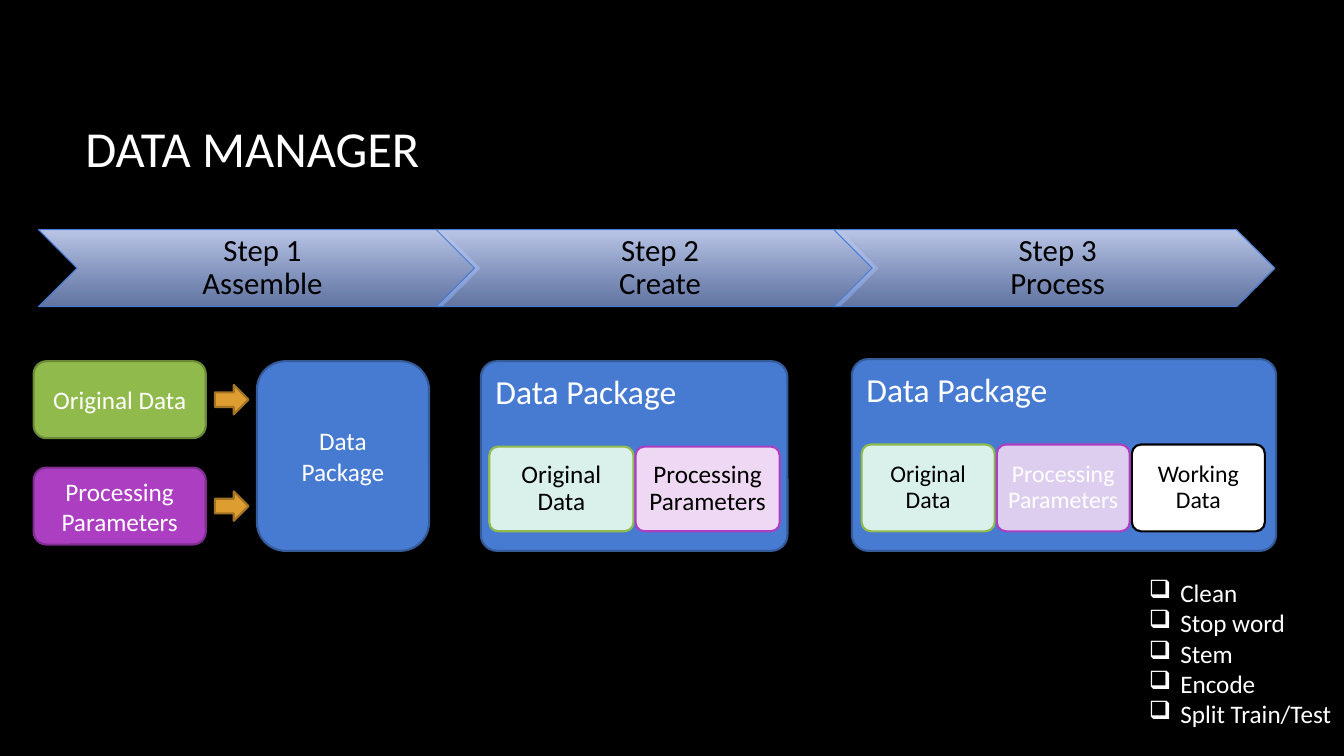
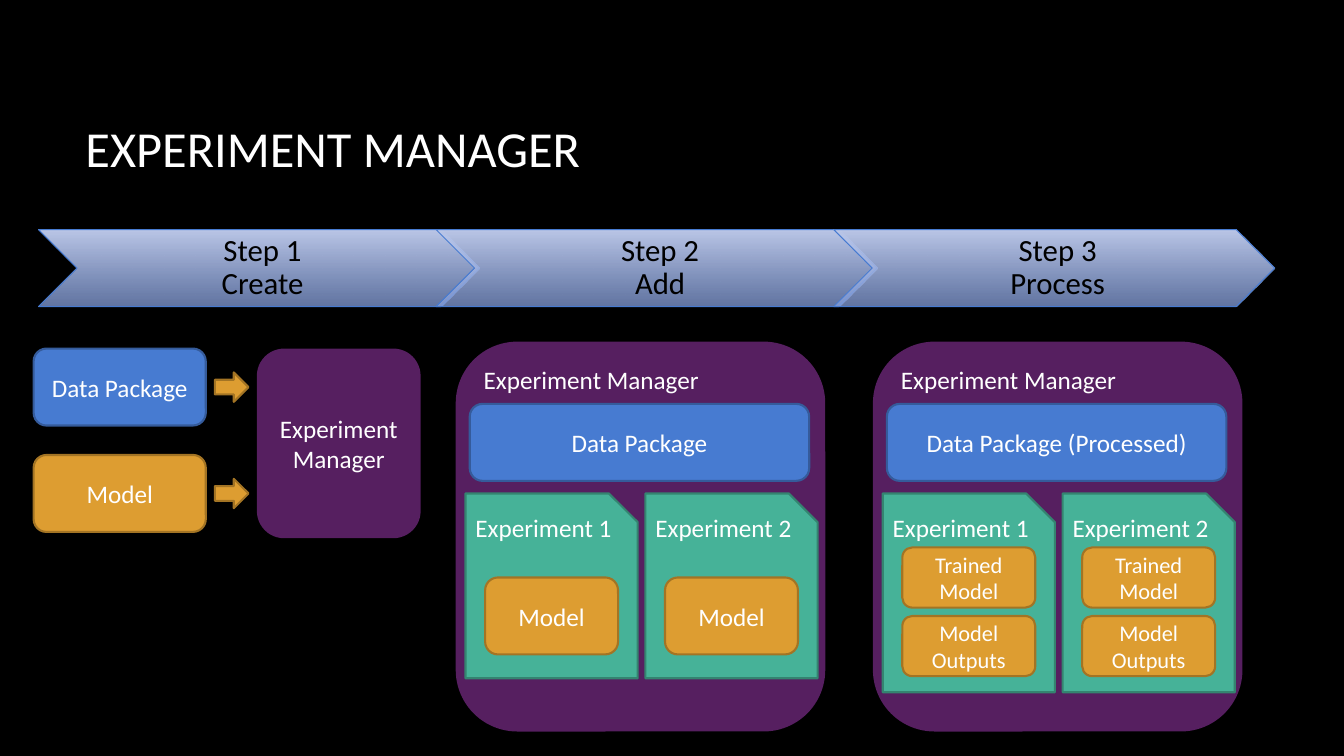
from lxml.etree import SubElement
from pptx import Presentation
from pptx.dml.color import RGBColor
from pptx.enum.shapes import MSO_SHAPE
from pptx.enum.text import MSO_ANCHOR, MSO_AUTO_SIZE, PP_ALIGN
from pptx.oxml.ns import qn
from pptx.util import Pt

FONT = "Calibri"
BLACK = RGBColor(0x00, 0x00, 0x00)
WHITE = RGBColor(0xFF, 0xFF, 0xFF)
GREEN = RGBColor(0x90, 0xBA, 0x4C)
DARK_GREEN = RGBColor(0x6B, 0x8A, 0x38)
MINT = RGBColor(0xD9, 0xF0, 0xEB)
PURPLE = RGBColor(0xAC, 0x3E, 0xC1)
DARK_PURPLE = RGBColor(0x7F, 0x2E, 0x8F)
LILAC = RGBColor(0xEE, 0xD8, 0xF3)
BLUE = RGBColor(0x47, 0x7B, 0xD1)
DARK_BLUE = RGBColor(0x35, 0x5B, 0x9B)
ORANGE = RGBColor(0xDD, 0x9D, 0x31)
DARK_ORANGE = RGBColor(0xA3, 0x74, 0x24)
TEAL = RGBColor(0x46, 0xB2, 0x98)
DARK_TEAL = RGBColor(0x34, 0x84, 0x70)
STEP_TOP = RGBColor(0xBC, 0xC8, 0xE9)
STEP_BOTTOM = RGBColor(0x85, 0x9E, 0xDA)

# Fill and line pairs
DATA_STYLE = (GREEN, DARK_GREEN)
PARAMETER_STYLE = (PURPLE, DARK_PURPLE)
PACKAGE_STYLE = (BLUE, DARK_BLUE)
MODEL_STYLE = (ORANGE, DARK_ORANGE)
EXPERIMENT_STYLE = (TEAL, DARK_TEAL)
MANAGER_STYLE = (PURPLE, None)
STEP_STYLE = ((STEP_TOP, STEP_BOTTOM), BLUE)

# Text formats
TOP_LEFT = {"align": PP_ALIGN.LEFT, "anchor": MSO_ANCHOR.TOP}
STEP_TEXT = {"size": 22, "color": BLACK, "spacing": 0.9, "margins": (7, 2, 2, 2)}
CHIP_TEXT = {"spacing": 0.9, "margins": (5, 5, 5, 5)}
PACKAGE_TEXT = {"size": 24, "spacing": 0.9, "margins": (7, 7, 7, 7), **TOP_LEFT}


def write_text(shape, lines, size=18, color=WHITE, align=PP_ALIGN.CENTER,
               anchor=MSO_ANCHOR.MIDDLE, spacing=1.0, margins=(7.2, 3.6, 7.2, 3.6)):
    """Write one paragraph per line; margins run left, top, right, bottom."""
    frame = shape.text_frame
    frame_format = {"word_wrap": True, "vertical_anchor": anchor}
    for side, margin in zip(("left", "top", "right", "bottom"), margins):
        frame_format[f"margin_{side}"] = Pt(margin)
    for name, value in frame_format.items():
        setattr(frame, name, value)
    for index, line in enumerate(lines):
        paragraph = frame.add_paragraph() if index else frame.paragraphs[0]
        paragraph.text = line
        paragraph.alignment = align
        paragraph.line_spacing = spacing
        for run in paragraph.runs:
            for name, value in {"name": FONT, "size": Pt(size)}.items():
                setattr(run.font, name, value)
            run.font.color.rgb = color


def add_box(slide, preset, bounds, style, text="", opacity=100,
            line_width=1.5, corner=None, **text_format):
    """Add a filled shape; opacity applies to the last fill colour."""
    shape = slide.shapes.add_shape(preset, *map(Pt, bounds))
    shape.shadow.inherit = False
    fill, line = style
    if isinstance(fill, RGBColor):
        shape.fill.solid()
        shape.fill.fore_color.rgb = fill
    else:
        shape.fill.gradient()
        shape.fill.gradient_angle = 270
        for stop, color in zip(shape.fill.gradient_stops, fill):
            stop.color.rgb = color
    if opacity < 100:
        colors = list(shape.element.spPr.iter(qn("a:srgbClr")))
        SubElement(colors[-1], qn("a:alpha"), val=str(opacity * 1000))
    if line is None:
        shape.line.fill.background()
    else:
        shape.line.color.rgb = line
        shape.line.width = Pt(line_width)
    if corner is not None:
        shape.adjustments[0] = corner
    if text:
        write_text(shape, [text], **text_format)


presentation = Presentation()
presentation.slide_width = Pt(960)
presentation.slide_height = Pt(540)
background = presentation.slide_master.background.fill
background.solid()
background.fore_color.rgb = BLACK

# Shared part: title, three steps, two inputs leading to a result
SLIDES = [
    {"title": "DATA MANAGER", "steps": ("Assemble", "Create", "Process"), "top": 258,
     "inputs": (("Original Data", DATA_STYLE), ("Processing Parameters", PARAMETER_STYLE)),
     "result": ("Data Package", PACKAGE_STYLE, 123, 100)},
    {"title": "EXPERIMENT MANAGER", "steps": ("Create", "Add", "Process"), "top": 249,
     "inputs": (("Data Package", PACKAGE_STYLE), ("Model", MODEL_STYLE)),
     "result": ("Experiment Manager", MANAGER_STYLE, 117, 50)},
]
slides = []
for content in SLIDES:
    slide = presentation.slides.add_slide(presentation.slide_layouts[6])
    slides.append(slide)
    title = slide.shapes.add_textbox(Pt(54), Pt(48), Pt(798), Pt(114.5))
    write_text(title, [content["title"]], size=36, align=PP_ALIGN.LEFT)

    for index, step in enumerate(content["steps"]):
        add_box(slide, MSO_SHAPE.CHEVRON, (27.5 + index * 284, 164, 315, 55), STEP_STYLE,
                f"Step {index + 1}\v{step}", opacity=74, line_width=0.75, **STEP_TEXT)

    for index, (label, style) in enumerate(content["inputs"]):
        top = content["top"] + index * 76
        add_box(slide, MSO_SHAPE.ROUNDED_RECTANGLE, (24, top, 123, 55), style, label)
        add_box(slide, MSO_SHAPE.RIGHT_ARROW, (153.5, top + 17, 24, 21), MODEL_STYLE)

    label, style, width, opacity = content["result"]
    add_box(slide, MSO_SHAPE.ROUNDED_RECTANGLE, (183.5, content["top"], width, 135.5),
            style, label, opacity)

data_slide, experiment_slide = slides

# Data packages with their parts: label, fill and line, text colour, opacity
original_part = ("Original Data", (MINT, GREEN), BLACK, 100)
PACKAGES = [
    {"bounds": (343.5, 258, 219, 135.5), "first_part": (349.5, 319, 103, 60.5), "size": 18,
     "parts": (original_part,
               ("Processing Parameters", (LILAC, PURPLE), BLACK, 100))},
    {"bounds": (608.5, 256.5, 303, 137), "first_part": (615.5, 317.5, 95, 62), "size": 17,
     "parts": (original_part,
               ("Processing Parameters", (LILAC, PURPLE), WHITE, 90),
               ("Working Data", (WHITE, BLACK), BLACK, 100))},
]
for package in PACKAGES:
    add_box(data_slide, MSO_SHAPE.ROUNDED_RECTANGLE, package["bounds"], PACKAGE_STYLE,
            "Data Package", corner=0.085, **PACKAGE_TEXT)
    left, top, width, height = package["first_part"]
    for index, (label, style, color, opacity) in enumerate(package["parts"]):
        add_box(data_slide, MSO_SHAPE.ROUNDED_RECTANGLE,
                (left + index * (width + 1.5), top, width, height), style, label, opacity,
                corner=0.105, size=package["size"], color=color, **CHIP_TEXT)

checklist = data_slide.shapes.add_textbox(Pt(813.5), Pt(409), Pt(146), Pt(116.5))
write_text(checklist, ["Clean", "Stop word", "Stem", "Encode", "Split Train/Test"], **TOP_LEFT)
checklist.text_frame.word_wrap = False
checklist.text_frame.auto_size = MSO_AUTO_SIZE.SHAPE_TO_FIT_TEXT
for paragraph in checklist.text_frame.paragraphs:
    properties = paragraph._p.get_or_add_pPr()
    for name, value in {"marL": Pt(22.5), "indent": -Pt(22.5)}.items():
        properties.set(name, str(value))
    SubElement(properties, qn("a:buChar"), char="❑")

# Experiment managers: package label, experiment height, model size, models with their tops
MANAGERS = [
    ("Data Package", 132, 55, 18, (("Model", 412.5),)),
    ("Data Package (Processed)", 142, 43, 16, (("Trained Model", 391), ("Model Outputs", 440))),
]
for index, (package, experiment_height, model_height, size, models) in enumerate(MANAGERS):
    left = 325.5 + index * 298
    add_box(experiment_slide, MSO_SHAPE.ROUNDED_RECTANGLE, (left, 244, 264, 278.5),
            MANAGER_STYLE, "Experiment Manager", opacity=50, **TOP_LEFT)
    add_box(experiment_slide, MSO_SHAPE.ROUNDED_RECTANGLE, (left + 10, 288.5, 242.5, 55),
            PACKAGE_STYLE, package)
    for number in (1, 2):
        experiment_left = left + 7 + (number - 1) * 128.5
        add_box(experiment_slide, MSO_SHAPE.SNIP_1_RECTANGLE,
                (experiment_left, 352.5, 123, experiment_height),
                EXPERIMENT_STYLE, f"Experiment {number}", **TOP_LEFT)
        for label, top in models:
            add_box(experiment_slide, MSO_SHAPE.ROUNDED_RECTANGLE,
                    (experiment_left + 14, top, 95, model_height), MODEL_STYLE, label, size=size)

presentation.save("out.pptx")
